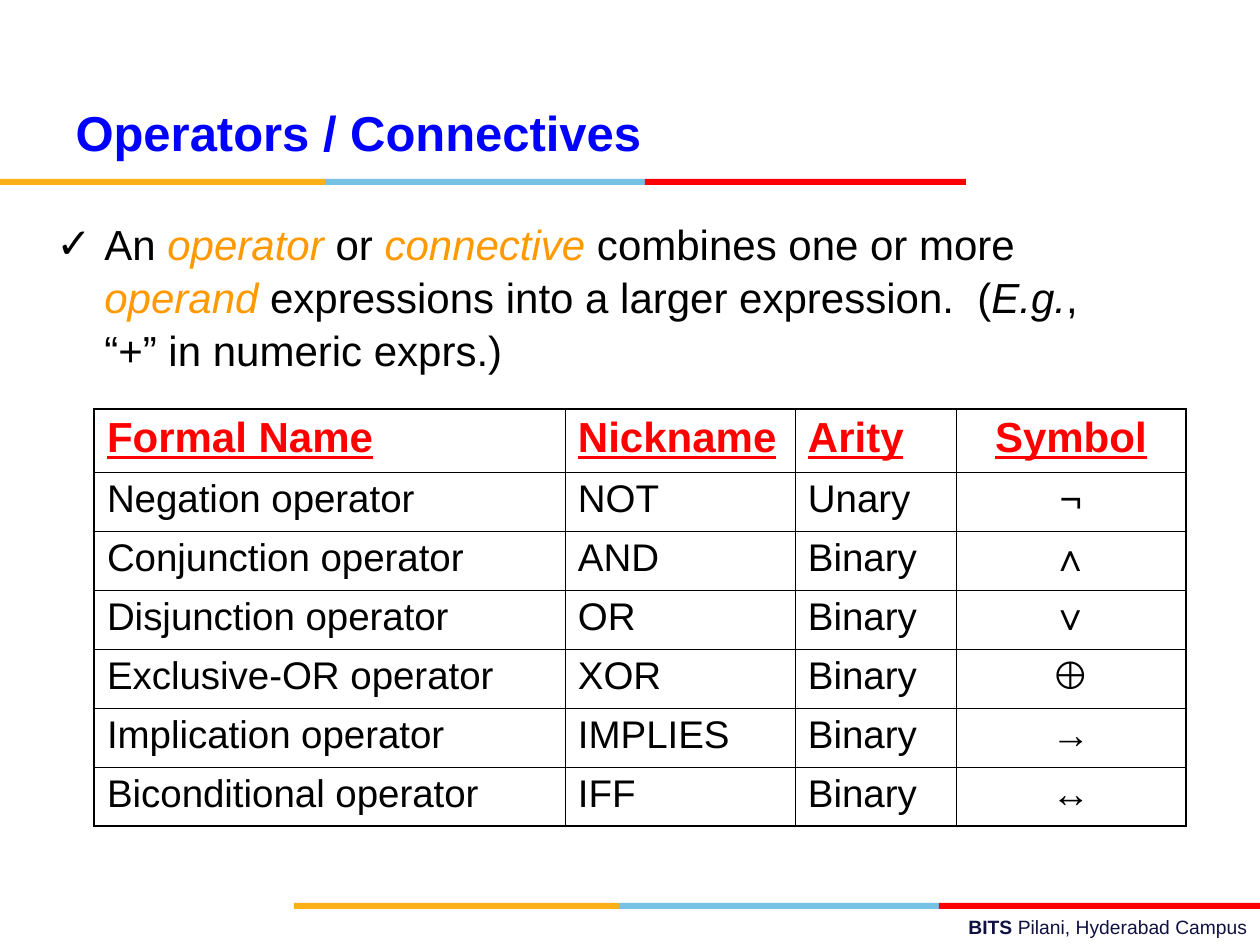
from dataclasses import dataclass
from itertools import accumulate

from lxml.etree import SubElement
from pptx import Presentation
from pptx.dml.color import RGBColor
from pptx.enum.shapes import MSO_SHAPE
from pptx.enum.text import MSO_ANCHOR, PP_ALIGN
from pptx.oxml.ns import qn
from pptx.util import Pt


@dataclass(frozen=True)
class Theme:
    font: str = "Arial"
    black: str = "000000"
    white: str = "FFFFFF"
    blue: str = "0000FF"
    red: str = "FF0000"
    term: str = "FF9900"
    navy: str = "101141"
    bands: tuple = ("FCB017", "76C2E5", "FF0000")
    title_size: int = 28
    body_size: int = 24
    row_size: int = 22
    footer_size: int = 11
    outer_line: float = 1.08
    inner_line: float = 0.45


theme = Theme()
SCALE = 914400 / 126


def px(*lengths):
    return [round(length * SCALE) for length in lengths]


def write(para, text, size=theme.body_size, color=theme.black,
          bold=False, italic=False, underline=False):
    span = para.add_run()
    span.text = text
    font = span.font
    font.name, font.size = theme.font, Pt(size)
    font.bold, font.italic, font.underline = bold, italic, underline
    font.color.rgb = RGBColor.from_string(color)


deck = Presentation()
deck.slide_width, deck.slide_height = px(1260, 945)
page = deck.slides.add_slide(deck.slide_layouts[5])

# Three-colour bars under the title and above the footer
band_widths = (325, 320, 321)
band_starts = list(accumulate(band_widths, initial=0))
for left, top in ((0, 179), (294, 903)):
    for start, width, color in zip(band_starts, band_widths, theme.bands):
        band = page.shapes.add_shape(
            MSO_SHAPE.RECTANGLE, *px(left + start, top, width, 6))
        band.shadow.inherit = False
        band.fill.solid()
        band.fill.fore_color.rgb = RGBColor.from_string(color)
        band.line.fill.background()

# Footer
footer = page.shapes.add_textbox(*px(451, 909, 809, 36)).text_frame
footer.word_wrap = True
para = footer.paragraphs[0]
para.alignment = PP_ALIGN.RIGHT
write(para, "BITS ", size=theme.footer_size, color=theme.navy, bold=True)
write(para, "Pilani, Hyderabad Campus", size=theme.footer_size, color=theme.navy)

# Title
title = page.shapes.title
title.left, title.top, title.width, title.height = px(63, 96, 1134, 157)
title.text_frame.vertical_anchor = MSO_ANCHOR.TOP
para = title.text_frame.paragraphs[0]
para.alignment = PP_ALIGN.LEFT
write(para, "Operators / Connectives", size=theme.title_size,
      color=theme.blue, bold=True)

# Definition with a check-mark bullet
body = page.shapes.add_textbox(*px(44, 210, 1071, 221)).text_frame
body.word_wrap = True
para = body.paragraphs[0]
indent = px(48)[0]
bullet = para._p.get_or_add_pPr()
bullet.set("marL", str(indent))
bullet.set("indent", str(-indent))
bullet_color = SubElement(bullet, qn("a:buClr"))
SubElement(bullet_color, qn("a:srgbClr"), val=theme.black)
SubElement(bullet, qn("a:buFont"), typeface=theme.font)
SubElement(bullet, qn("a:buChar"), char="✓")
para.line_spacing = 1.05
term = {"color": theme.term, "italic": True}
for text, style in (
    ("An ", {}),
    ("operator", term),
    (" or ", {}),
    ("connective", term),
    (" combines one or more ", {}),
    ("operand ", term),
    ("expressions into a larger expression.  (", {}),
    ("E.g.", {"italic": True}),
    (", “+” in numeric exprs.)", {}),
):
    write(para, text, **style)

# Operator table
rows = (
    ("Formal Name", "Nickname", "Arity", "Symbol"),
    ("Negation operator", "NOT", "Unary", "¬"),
    ("Conjunction operator", "AND", "Binary", "∧"),
    ("Disjunction operator", "OR", "Binary", "∨"),
    ("Exclusive-OR operator", "XOR", "Binary", "⊕"),
    ("Implication operator", "IMPLIES", "Binary", "→"),
    ("Biconditional operator", "IFF", "Binary", "↔"),
)
column_widths = (471, 230, 161, 230)
row_heights = (63,) + (59,) * 6
table = page.shapes.add_table(
    len(rows), len(column_widths),
    *px(94, 409, sum(column_widths), sum(row_heights))).table
table.first_row = table.horz_banding = False
for column, width in zip(table.columns, px(*column_widths)):
    column.width = width
for row, height in zip(table.rows, px(*row_heights)):
    row.height = height

last_row, last_column = len(rows) - 1, len(column_widths) - 1
header_style = {"color": theme.red, "bold": True, "underline": True}
for r, values in enumerate(rows):
    for c, value in enumerate(values):
        cell = table.cell(r, c)
        cell.margin_left = cell.margin_right = px(13)[0]
        cell.margin_top = cell.margin_bottom = px(6)[0]

        # Heavier line around the outside; borders go before the fill
        properties = cell._tc.get_or_add_tcPr()
        for side, is_outer in (("lnL", c == 0), ("lnR", c == last_column),
                               ("lnT", r == 0), ("lnB", r == last_row)):
            weight = theme.outer_line if is_outer else theme.inner_line
            border = SubElement(properties, qn(f"a:{side}"), w=str(Pt(weight)))
            border_fill = SubElement(border, qn("a:solidFill"))
            SubElement(border_fill, qn("a:srgbClr"), val=theme.black)
        cell.fill.solid()
        cell.fill.fore_color.rgb = RGBColor.from_string(theme.white)

        para = cell.text_frame.paragraphs[0]
        para.alignment = PP_ALIGN.CENTER if c == last_column else PP_ALIGN.LEFT
        if r == 0:
            write(para, value, **header_style)
        else:
            write(para, value, size=theme.row_size)

deck.save("out.pptx")
